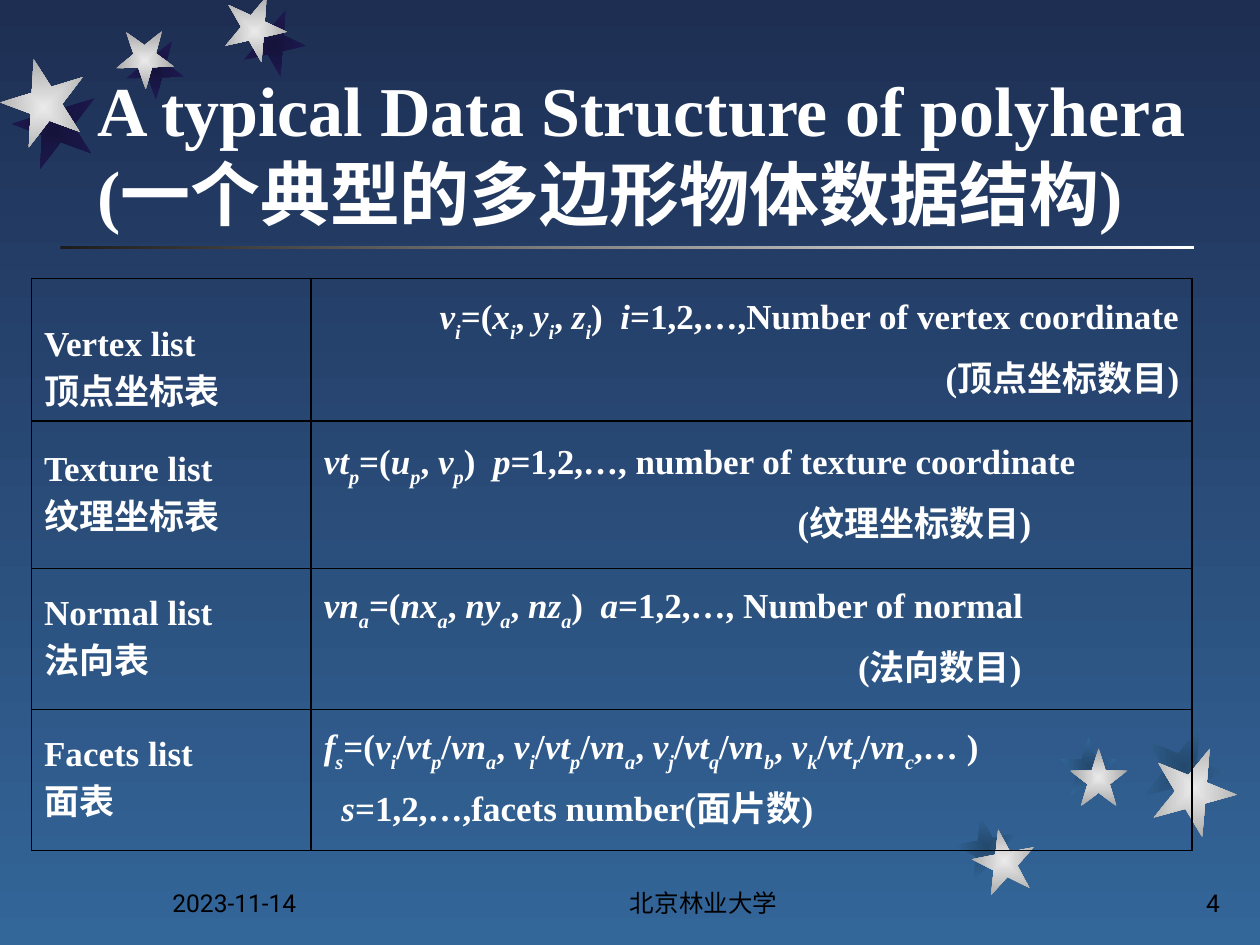
from pptx import Presentation
from pptx.dml.color import RGBColor
from pptx.enum.shapes import MSO_SHAPE as Shape
from pptx.enum.text import MSO_ANCHOR as Anchor, MSO_AUTO_SIZE as AutoSize, PP_ALIGN as Align
from pptx.oxml import parse_xml
from pptx.oxml.ns import nsdecls, qn
from pptx.util import Inches, Pt

WHITE = RGBColor(0xFF, 0xFF, 0xFF)
BLACK = RGBColor(0, 0, 0)
CHARCOAL = RGBColor(0x1C, 0x1C, 0x1C)
NAVY = RGBColor(0x1E, 0x2E, 0x53)
BLUE = RGBColor(0x33, 0x66, 0x99)
NIGHT_SHADOW = (RGBColor(0x15, 0x13, 0x3B), RGBColor(0x1E, 0x1A, 0x53))
BLUE_SHADOW = (RGBColor(0x24, 0x49, 0x6D), BLUE)
SILVER = (RGBColor(0xEA, 0xEA, 0xEA), RGBColor(0xA7, 0xA7, 0xA7))

TITLE_FONT = dict(name="Times New Roman", size=Pt(40), bold=True)
TABLE_FONT = dict(name="Times New Roman", size=Pt(20), bold=True)
FOOTER_FONT = dict(name="Roboto", size=Pt(14))

# Stars: shadow left and top, face left and top, size, rotation
TOP_STARS = [
    (19.2, 1.1, 17.7, 0, 5, 167.3),
    (10, 3.3, 9.2, 2.5, 4.6, 178.3),
    (1, 6.9, 0.1, 5.2, 6.7, 200.3),
]
BOTTOM_STARS = [
    (75.8, 64.7, 77.2, 65.8, 5, 349),
    (84.1, 58.5, 84.9, 59.4, 4.6, 0),
    (90.6, 57.5, 91.4, 59.2, 6.7, 22),
]

# Table: name lines, formula, note, note alignment, note indent in columns.
# Braces hold a variable; an underscore in them starts its subscript.
FACET = "{v_%s}/{vt_%s}/{vn_%s}"
CORNERS = ", ".join(FACET % tuple(c) for c in ("ipa", "ipa", "jqb", "krc"))
LISTS = [
    (("Vertex list", "顶点坐标表"),
     "{v_i}=({x_i}, {y_i}, {z_i})  {i}=1,2,…,Number of vertex coordinate",
     "(顶点坐标数目)", Align.RIGHT, 0),
    (("Texture list", "纹理坐标表"),
     "{vt_p}=({u_p}, {v_p})  {p}=1,2,…, number of texture coordinate",
     "(纹理坐标数目)", Align.LEFT, 37.6),
    (("Normal list", "法向表"),
     "{vn_a}=({nx_a}, {ny_a}, {nz_a})  {a}=1,2,…, Number of normal",
     "(法向数目)", Align.LEFT, 42.4),
    (("Facets list", "面表"),
     "{f_s}=(" + CORNERS + ",… )",
     "{s}=1,2,…,facets number(面片数)", Align.LEFT, 1.4),
]
COLUMN_WIDTHS = (22.2, 69.9)
ROW_HEIGHTS = (11.2, 11.7, 11.2, 11.2)


class SlideBuilder:
    """Places elements on a grid of 100 columns by 75 rows."""

    def __init__(self, deck):
        self.unit = deck.slide_width / 100
        self.slide = deck.slides.add_slide(deck.slide_layouts[5])
        self.shapes = self.slide.shapes

    def grid(self, *lengths):
        return [round(n * self.unit) for n in lengths]

    @staticmethod
    def style(font, formats, color):
        for key, value in formats.items():
            setattr(font, key, value)
        font.color.rgb = color

    @staticmethod
    def gradient(fill, colors, angle=0, from_center=False):
        fill.gradient()
        fill.gradient_angle = angle
        for stop, color in zip(fill.gradient_stops, colors):
            stop.color.rgb = color
        if from_center:
            linear = fill.gradient_stops[0]._gs.getparent().getparent().find(qn("a:lin"))
            center = parse_xml(
                f'<a:path {nsdecls("a")} path="shape"><a:fillToRect l="50000" '
                't="50000" r="50000" b="50000"/></a:path>')
            linear.getparent().replace(linear, center)

    def background(self, top, bottom):
        self.gradient(self.slide.background.fill, (top, bottom), 270)

    def shape(self, kind, box, colors, rotation=0, from_center=False):
        item = self.shapes.add_shape(kind, *self.grid(*box))
        item.shadow.inherit = False
        item.line.fill.background()
        item.rotation = rotation
        self.gradient(item.fill, colors, from_center=from_center)

    def stars(self, stars, shadow):
        for x, y, _, _, size, turn in stars:
            self.shape(Shape.STAR_5_POINT, (x, y, size, size), shadow, turn, True)
        for _, _, x, y, size, turn in stars:
            self.shape(Shape.STAR_5_POINT, (x, y, size, size), SILVER, turn, True)

    def title(self, text, box):
        title = self.shapes.title
        title.left, title.top, title.width, title.height = self.grid(*box)
        frame = title.text_frame
        frame.auto_size, frame.vertical_anchor = AutoSize.NONE, Anchor.BOTTOM
        frame.text = text
        frame.paragraphs[0].alignment = Align.LEFT
        for run in frame.paragraphs[0].runs:
            self.style(run.font, TITLE_FONT, WHITE)

    def footer(self, text, box, alignment):
        frame = self.shapes.add_textbox(*self.grid(*box)).text_frame
        frame.word_wrap, frame.vertical_anchor = True, Anchor.BOTTOM
        frame.text = text
        frame.paragraphs[0].alignment = alignment
        self.style(frame.paragraphs[0].runs[0].font, FOOTER_FONT, BLACK)

    def run(self, paragraph, text, italic=False, subscript=False):
        if text:
            run = paragraph.add_run()
            run.text = text
            self.style(run.font, dict(TABLE_FONT, italic=italic), WHITE)
            if subscript:
                run.font._element.set("baseline", "-30000")

    def formula(self, paragraph, markup):
        for number, part in enumerate(markup.replace("}", "{").split("{")):
            if number % 2:
                base, _, index = part.partition("_")
                self.run(paragraph, base, italic=True)
                self.run(paragraph, index, italic=True, subscript=True)
            else:
                self.run(paragraph, part)

    def cell(self, cell, lines):
        cell.vertical_anchor = Anchor.MIDDLE
        cell.fill.background()
        properties = cell._tc.get_or_add_tcPr()
        for position, side in enumerate(("lnL", "lnR", "lnT", "lnB")):
            properties.insert(position, parse_xml(
                f'<a:{side} {nsdecls("a")} w="{Pt(1)}"><a:solidFill>'
                f'<a:srgbClr val="{BLACK}"/></a:solidFill></a:{side}>'))
        frame = cell.text_frame
        frame.text = "\n" * (len(lines) - 1)
        for paragraph, line in zip(frame.paragraphs, lines):
            self.formula(paragraph, line)
        return frame.paragraphs

    def table(self, left, top):
        box = self.grid(left, top, sum(COLUMN_WIDTHS), sum(ROW_HEIGHTS))
        table = self.shapes.add_table(len(LISTS), 2, *box).table
        table.first_row = table.horz_banding = False
        for column, width in zip(table.columns, self.grid(*COLUMN_WIDTHS)):
            column.width = width
        for row, height, content in zip(table.rows, self.grid(*ROW_HEIGHTS), LISTS):
            row.height = height
            names, formula, note, alignment, indent = content
            self.cell(row.cells[0], names)
            first, second = self.cell(row.cells[1], (formula, note))
            first.alignment = second.alignment = alignment
            second.space_before = Pt(4)
            second._p.get_or_add_pPr().set("marL", str(self.grid(indent)[0]))
        # The first list name sits one line lower
        table.cell(0, 0).margin_top = self.grid(3.7)[0]


def main():
    deck = Presentation()
    deck.slide_width, deck.slide_height = Inches(10), Inches(7.5)
    page = SlideBuilder(deck)

    # Backdrop
    page.background(NAVY, BLUE)
    page.shape(Shape.RECTANGLE, (4.8, 19.5, 90, 0.3), (CHARCOAL, WHITE))
    page.stars(TOP_STARS, NIGHT_SHADOW)
    page.stars(BOTTOM_STARS, BLUE_SHADOW)

    # Footer
    page.footer("2023-11-14", (12.7, 68.3, 20.8, 5), Align.LEFT)
    page.footer("北京林业大学", (40, 68.3, 31.7, 5), Align.CENTER)
    page.footer("4", (77, 68.3, 20.8, 5), Align.RIGHT)

    # Title, brought in front of the stars, and table
    page.title("A typical Data Structure of polyhera\v(一个典型的多边形物体数据结构)",
               (6.7, 3.1, 93.3, 16))
    page.shapes._spTree.append(page.shapes.title._element)
    page.table(2.5, 22.1)

    deck.save("out.pptx")


if __name__ == "__main__":
    main()
